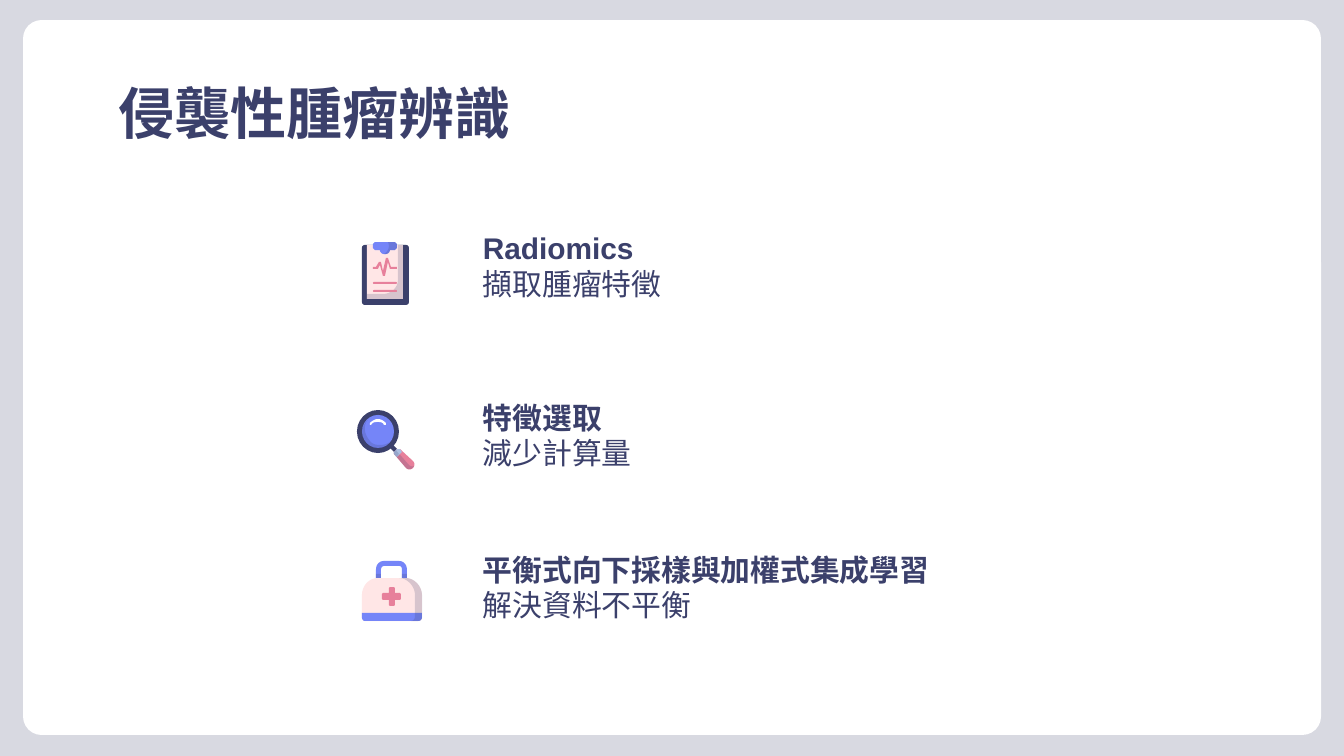
from lxml import etree
from pptx import Presentation
from pptx.dml.color import RGBColor
from pptx.enum.shapes import MSO_SHAPE
from pptx.enum.text import MSO_ANCHOR
from pptx.oxml.ns import qn
from pptx.util import Emu, Pt

ROUND_RECT = MSO_SHAPE.ROUNDED_RECTANGLE
RECT = MSO_SHAPE.RECTANGLE
OVAL = MSO_SHAPE.OVAL
TOP = MSO_ANCHOR.TOP
BOTTOM = MSO_ANCHOR.BOTTOM

EMU_PER_PX = 914400 / 134.4
CURVE_STEPS = 8
COLORS = {
    "navy": "3B406B",
    "backdrop": "D8D9E1",
    "white": "FFFFFF",
    "blush": "FFE6E6",
    "blue": "7585F8",
    "pink": "E7809B",
    "steel": "ACBFE2",
}

CLIP_RIGHT = [(384, 254), (386, 254), (388, 254, 390, 252, 390, 250),
              (395, 250), (397, 248), (397, 244), (395, 242)]
BAG_CORNER = [(418, 621), (421, 621, 422, 619, 422, 617)]
BAG_SHOULDER = [(422, 595), (422, 586, 414, 578, 406, 578)]
BAG_LEFT_CORNER = [(362, 617), (362, 619, 363, 621, 365, 621)]
BAG_SHADE_CORNER = [(415, 617), (415, 619, 413, 621, 411, 621)]

CLIPBOARD = [
    ("navy", ROUND_RECT, (362, 245, 47, 60), 0.06),
    ("shade", [(398, 245), (401, 247), (401, 302), (398, 305),
               (406, 305), (409, 302), (409, 247), (406, 245)]),
    ("blush", RECT, (367, 245, 36, 54), None),
    ("shade", [(398, 245), (398, 280), (398, 288, 391, 294, 383, 294),
               (367, 294), (367, 299), (403, 299), (403, 245)]),
    ("blue", [(375, 242), (373, 244), (373, 248), (375, 250), (380, 250),
              (380, 252, 382, 254, 384, 254)] + CLIP_RIGHT),
    ("shade", [(388, 242), (390, 246, 389, 251, 384, 254)] + CLIP_RIGHT),
    ("pink", [(373, 267), (376, 267), (379, 262), (381, 262), (383, 271),
              (386, 258), (388, 258), (391, 267), (397, 267), (397, 269),
              (390, 269), (388, 262), (385, 276), (383, 276), (380, 265),
              (378, 269), (373, 269)]),
    ("pink", ROUND_RECT, (373, 282, 24, 2), 0.5),
    ("pink", ROUND_RECT, (373, 290, 24, 2), 0.5),
]

MEDICAL_BAG = [
    ("blue", [(376, 578), (376, 570), (376, 564, 380, 561, 384, 561),
              (399, 561), (403, 561, 407, 564, 407, 570), (407, 578),
              (402, 578), (402, 570), (402, 567, 401, 566, 399, 566),
              (384, 566), (383, 566, 381, 567, 381, 570), (381, 578)]),
    ("shade", RECT, (376, 574, 5, 4), None),
    ("shade", RECT, (402, 574, 5, 4), None),
    ("blush", [(378, 578), (369, 578, 362, 586, 362, 595)]
     + BAG_LEFT_CORNER + BAG_CORNER + BAG_SHOULDER),
    ("shade", [(399, 578), (407, 578, 415, 586, 415, 595)]
     + BAG_SHADE_CORNER + BAG_CORNER + BAG_SHOULDER),
    ("blue", [(362, 613)] + BAG_LEFT_CORNER + BAG_CORNER + [(422, 613)]),
    ("shade", [(415, 613)] + BAG_SHADE_CORNER + BAG_CORNER + [(422, 613)]),
    ("pink", [(390, 587), (394, 587), (395, 588), (395, 593), (400, 593),
              (401, 594), (401, 599), (400, 600), (395, 600), (395, 605),
              (394, 606), (390, 606), (389, 605), (389, 600), (383, 600),
              (382, 599), (382, 594), (383, 593), (389, 593), (389, 588)]),
]

MAGNIFIER = [
    ("navy", [(390, 442), (387, 445), (399, 457), (402, 454)]),
    ("pink", [(397, 449), (394, 452), (394, 454), (406, 468),
              (408, 470, 411, 470, 413, 468), (415, 466, 415, 463, 413, 461),
              (400, 449)]),
    ("shade", [(396, 450), (394, 452), (394, 454), (406, 468),
               (408, 470, 412, 470, 414, 466), (412, 467, 410, 466, 409, 465)]),
    ("navy", OVAL, (357, 410, 42, 43), None),
    ("blue", OVAL, (362, 415, 32, 33), None),
    ("shade", [(368, 420), (360, 426, 360, 438, 367, 444),
               (370, 446, 374, 448, 378, 448), (382, 448, 387, 446, 390, 442),
               (387, 444, 384, 445, 380, 445), (376, 445, 372, 444, 370, 441),
               (364, 434, 363, 425, 368, 420)]),
    ("white", [(378, 419), (375, 419, 372, 421, 370, 423), (370, 425),
               (371, 425), (373, 422, 375, 422, 378, 422),
               (380, 422, 383, 422, 384, 425), (386, 425), (386, 423),
               (383, 420, 380, 419, 378, 419)]),
    ("steel", [(397, 449), (394, 452), (394, 454), (397, 457),
               (402, 452), (400, 449)]),
    ("shade", [(396, 450), (394, 452), (394, 454), (397, 457), (399, 454)]),
]

TOPICS = [
    ((470, 231, 407, 83), "Radiomics", "擷取腫瘤特徵"),
    ((470, 547, 519, 89), "平衡式向下採樣與加權式集成學習", "解決資料不平衡"),
    ((470, 395, 251, 89), "特徵選取", "減少計算量"),
]


def px(length):
    return Emu(round(length * EMU_PER_PX))


def rgb(name):
    return RGBColor.from_string(COLORS[name])


def paint(shape, color):
    shape.shadow.inherit = False
    shape.line.fill.background()
    shape.fill.solid()
    shape.fill.fore_color.rgb = rgb("navy" if color == "shade" else color)
    if color == "shade":
        tint = shape.fill._xPr.find(qn("a:solidFill"))[0]
        etree.SubElement(tint, qn("a:alpha")).set("val", "20000")


def add_preset(shapes, color, kind, frame, corner=None):
    shape = shapes.add_shape(kind, *map(px, frame))
    if corner is not None:
        shape.adjustments[0] = corner
    paint(shape, color)


def flatten(path):
    points = [path[0]]
    for step in path[1:]:
        if len(step) == 2:
            points.append(step)
            continue
        curve = (points[-1], step[:2], step[2:4], step[4:])
        for count in range(1, CURVE_STEPS + 1):
            t = count / CURVE_STEPS
            weights = ((1 - t) ** 3, 3 * t * (1 - t) ** 2,
                       3 * t * t * (1 - t), t ** 3)
            points.append(tuple(sum(w * p[axis] for w, p in zip(weights, curve))
                                for axis in (0, 1)))
    return points


def add_outline(shapes, color, path):
    points = [(px(x), px(y)) for x, y in flatten(path)]
    builder = shapes.build_freeform(*points[0], scale=1.0)
    builder.add_line_segments(points[1:], close=True)
    paint(builder.convert_to_shape(), color)


def add_icon(page, parts):
    shapes = page.shapes.add_group_shape().shapes
    for color, *form in parts:
        if len(form) == 1:
            add_outline(shapes, color, form[0])
        else:
            add_preset(shapes, color, *form)


def add_text(page, frame, lines, size, font, anchor):
    box = page.shapes.add_textbox(*map(px, frame))
    text = box.text_frame
    text.word_wrap = True
    text.vertical_anchor = anchor
    text.margin_left = text.margin_right = px(13)
    text.margin_top = text.margin_bottom = px(13)
    for index, (words, bold) in enumerate(lines):
        para = text.add_paragraph() if index else text.paragraphs[0]
        span = para.add_run()
        span.text = words
        span.font.name = font
        span.font.size = Pt(size)
        span.font.bold = bold
        span.font.color.rgb = rgb("navy")


def main():
    deck = Presentation()
    deck.slide_width, deck.slide_height = px(1344), px(756)
    page = deck.slides.add_slide(deck.slide_layouts[6])
    page.background.fill.solid()
    page.background.fill.fore_color.rgb = rgb("backdrop")
    add_preset(page.shapes, "white", ROUND_RECT, (23, 20, 1298, 715), 0.026)
    add_text(page, (106, 66, 1133, 85), [("侵襲性腫瘤辨識", True)],
             30, "Montserrat", TOP)
    for frame, heading, detail in TOPICS:
        add_text(page, frame, [(heading, True), (detail, False)],
                 16, "Arial", BOTTOM)
    for icon in (CLIPBOARD, MEDICAL_BAG, MAGNIFIER):
        add_icon(page, icon)
    deck.save("out.pptx")


if __name__ == "__main__":
    main()
